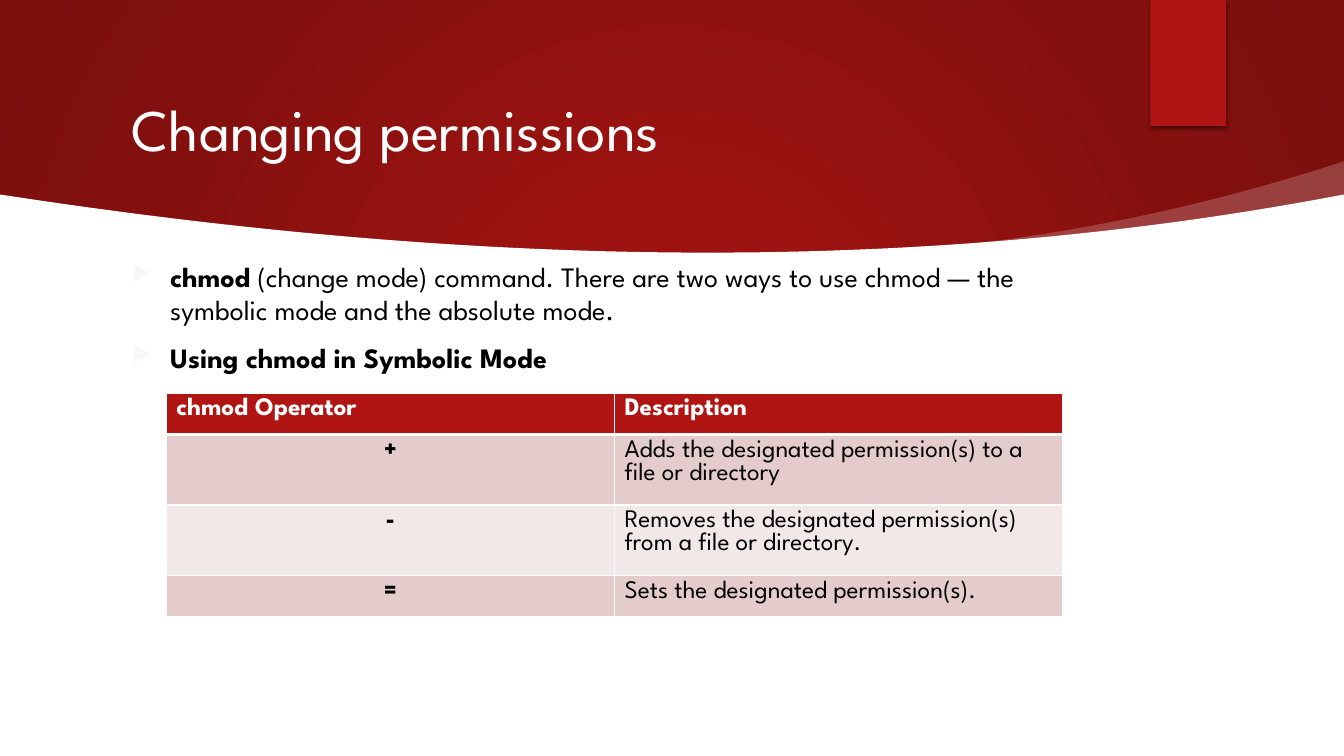
"""Build the slide on changing file permissions with chmod."""
import dataclasses
import typing

import pptx
import pptx.dml.color
import pptx.enum.shapes
import pptx.enum.text
import pptx.oxml
import pptx.oxml.ns
import pptx.util

RGBColor = pptx.dml.color.RGBColor
Point = tuple[float, float]

WHITE = RGBColor(0xFF, 0xFF, 0xFF)
BLACK = RGBColor(0, 0, 0)
RED = RGBColor(0xB0, 0x15, 0x13)
ROSE = RGBColor(0xE4, 0xCC, 0xCC)
BLUSH = RGBColor(0xF2, 0xE8, 0xE7)
BULLET = RGBColor(0xF7, 0xF7, 0xF7)
GLOW = {0: RGBColor(0x9D, 0x13, 0x11), 23: RGBColor(0x9D, 0x13, 0x11),
        69: RGBColor(0x84, 0x10, 0x0E), 97: RGBColor(0x7B, 0x0F, 0x0D)}
FONT = "League Spartan"
WIDTH, HEIGHT = 13.33, 7.5
STEPS = 60
ROW_HEIGHT = 0.41
NAMESPACE = 'xmlns:a="http://schemas.openxmlformats.org/drawingml/2006/main"'


@dataclasses.dataclass(frozen=True)
class Frame:
    """Hold a place and size in inches."""
    left: float
    top: float
    width: float
    height: float

    def emu(self) -> list[int]:
        """Return the place and size in slide units."""
        return [pptx.util.Inches(length) for length in dataclasses.astuple(self)]


@dataclasses.dataclass(frozen=True)
class Style:
    """Hold the look of a run."""
    size: float
    color: RGBColor
    bold: bool = False


@dataclasses.dataclass(frozen=True)
class Operator:
    """Hold one row of the operator table."""
    sign: str
    meaning: str
    fill: RGBColor


TITLE = Style(42, WHITE)
BODY = Style(20, BLACK)
STRONG = Style(20, BLACK, True)
HEADER = Style(18, WHITE, True)
SIGN = Style(18, BLACK, True)
MEANING = Style(18, BLACK)

BULLETS = [
    [("chmod", STRONG), (" (change mode) command. There are two ways to use chmod — "
                         "the symbolic mode and the absolute mode.", BODY)],
    [("Using chmod in Symbolic Mode", STRONG)],
]
OPERATORS = [
    Operator("+", "Adds the designated permission(s) to a file or directory", ROSE),
    Operator("-", "Removes the designated permission(s) from a file or directory.", BLUSH),
    Operator("=", "Sets the designated permission(s).", ROSE),
]


def element(markup: str) -> typing.Any:
    """Parse drawing markup given without its namespace."""
    name, space, rest = markup.partition(" ")
    return pptx.oxml.parse_xml(f"{name} {NAMESPACE}{space}{rest}")


def paint(shape: typing.Any, color: RGBColor) -> None:
    """Give a shape a plain fill without line or shadow."""
    shape.shadow.inherit = False
    shape.line.fill.background()
    shape.fill.solid()
    shape.fill.fore_color.rgb = color


def add_block(page: typing.Any, frame: Frame, color: RGBColor) -> typing.Any:
    """Add a plain rectangle."""
    block = page.shapes.add_shape(pptx.enum.shapes.MSO_SHAPE.RECTANGLE, *frame.emu())
    paint(block, color)
    return block


def add_outline(page: typing.Any, points: list[Point]) -> typing.Any:
    """Add a white closed outline."""
    corners = [(pptx.util.Inches(x), pptx.util.Inches(y)) for x, y in points]
    builder = page.shapes.build_freeform(*corners[0])
    builder.add_line_segments(corners[1:], close=True)
    outline = builder.convert_to_shape()
    paint(outline, WHITE)
    return outline


def curve(start: Point, end: Point, sag: float, skew: float = 0) -> list[Point]:
    """Sample a sagging curve between two points."""
    shares = [step / STEPS for step in range(STEPS + 1)]
    return [(start[0] + (end[0] - start[0]) * share,
             start[1] + (end[1] - start[1]) * share
             + share * (1 - share) * (sag + skew * share)) for share in shares]


def write(para: typing.Any, text: str, style: Style) -> None:
    """Add a styled run to a paragraph."""
    span = para.add_run()
    span.text = text
    span.font.name = FONT
    span.font.size = pptx.util.Pt(style.size)
    span.font.bold = style.bold
    span.font.color.rgb = style.color


def add_box(page: typing.Any, frame: Frame) -> typing.Any:
    """Add a wrapping text box and return its text frame."""
    text_frame = page.shapes.add_textbox(*frame.emu()).text_frame
    text_frame.word_wrap = True
    return text_frame


def add_backdrop(page: typing.Any) -> None:
    """Draw the glowing red banner, its tab and the white curves."""
    properties = add_block(page, Frame(0, 0, WIDTH, HEIGHT), RED).element.spPr
    stops = "".join(f'<a:gs pos="{place * 1000}"><a:srgbClr val="{color}"/></a:gs>'
                    for place, color in GLOW.items())
    properties.replace(properties.find(pptx.oxml.ns.qn("a:solidFill")), element(
        f'<a:gradFill rotWithShape="1"><a:gsLst>{stops}</a:gsLst><a:path path="circle">'
        '<a:fillToRect l="50000" t="50000" r="50000" b="50000"/></a:path></a:gradFill>'))

    tab = add_block(page, Frame(11.41, 0, 0.75, HEIGHT / 6), RED)
    tab.element.spPr.find(pptx.oxml.ns.qn("a:effectLst")).append(element(
        f'<a:outerShdw blurRad="{pptx.util.Pt(3)}" dist="{pptx.util.Pt(2)}" dir="5400000">'
        '<a:srgbClr val="000000"><a:alpha val="45000"/></a:srgbClr></a:outerShdw>'))

    wisp = add_outline(page, curve((9.54, 2.43), (WIDTH, 1.6), 0.41)
                       + [(WIDTH, 2.12), (9.58, 2.5)])
    color = wisp.element.spPr.find(".//" + pptx.oxml.ns.qn("a:srgbClr"))
    color.append(element('<a:alpha val="20000"/>'))
    add_outline(page, curve((0, 1.93), (WIDTH, 1.93), 2.05, 0.5)
                + [(WIDTH, HEIGHT), (0, HEIGHT)])


def add_bullets(page: typing.Any) -> None:
    """Write the bulleted paragraphs."""
    text_frame = add_box(page, Frame(1.21, 2.52, 9.78, 4.31))
    indent = pptx.util.Inches(0.38)
    for index, spans in enumerate(BULLETS):
        para = text_frame.add_paragraph() if index else text_frame.paragraphs[0]
        para.space_before = pptx.util.Pt(10)
        for text, style in spans:
            write(para, text, style)
        properties = para._p.get_or_add_pPr()
        properties.set("marL", str(indent))
        properties.set("indent", str(-indent))
        for markup in (f'<a:buClr ><a:srgbClr val="{BULLET}"/></a:buClr>',
                       '<a:buSzPct val="80000"/>', '<a:buChar char="▶"/>'):
            properties.append(element(markup))


def fill_cell(cell: typing.Any, text: str, style: Style, fill: RGBColor,
              edges: dict[str, float]) -> None:
    """Write a table cell and set its fill and white borders."""
    write(cell.text_frame.paragraphs[0], text, style)
    cell.fill.solid()
    cell.fill.fore_color.rgb = fill
    for index, (side, weight) in enumerate(edges.items()):
        cell._tc.get_or_add_tcPr().insert(index, element(
            f'<a:ln{side} w="{pptx.util.Pt(weight)}"><a:solidFill>'
            f'<a:srgbClr val="{WHITE}"/></a:solidFill></a:ln{side}>'))


def add_operators(page: typing.Any) -> None:
    """Build the table of chmod operators."""
    count = len(OPERATORS) + 1
    frame = Frame(1.65, 3.9, 8.89, ROW_HEIGHT * count)
    table = page.shapes.add_table(count, 2, *frame.emu()).table
    thin = dict.fromkeys("LRTB", 1)
    for column, text in enumerate(("chmod Operator", "Description")):
        fill_cell(table.cell(0, column), text, HEADER, RED, thin | {"B": 3})
    for row, operator in enumerate(OPERATORS, 1):
        edges = thin | {"T": 3 if row == 1 else 1}
        fill_cell(table.cell(row, 0), operator.sign, SIGN, operator.fill, edges)
        fill_cell(table.cell(row, 1), operator.meaning, MEANING, operator.fill, edges)
        para = table.cell(row, 0).text_frame.paragraphs[0]
        para.alignment = pptx.enum.text.PP_ALIGN.CENTER


deck = pptx.Presentation()
deck.slide_width, deck.slide_height = pptx.util.Inches(WIDTH), pptx.util.Inches(HEIGHT)
page = deck.slides.add_slide(deck.slide_layouts[6])
add_backdrop(page)
heading = add_box(page, Frame(1.21, 0.5, 9.79, 1.53))
heading.vertical_anchor = pptx.enum.text.MSO_ANCHOR.MIDDLE
write(heading.paragraphs[0], "Changing permissions", TITLE)
add_bullets(page)
add_operators(page)
deck.save("out.pptx")
